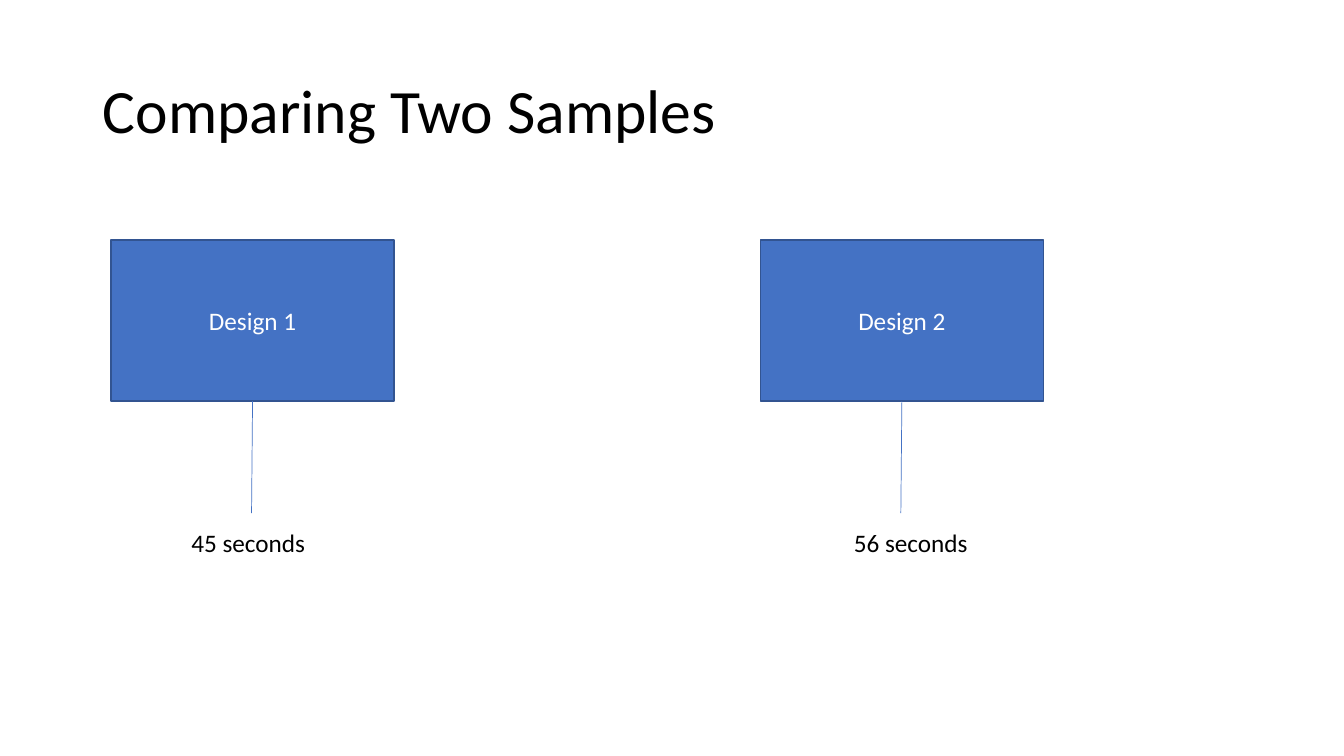
from dataclasses import dataclass

from lxml import etree
from pptx import Presentation
from pptx.dml.color import RGBColor
from pptx.enum.shapes import MSO_CONNECTOR, MSO_SHAPE
from pptx.enum.text import MSO_ANCHOR, MSO_AUTO_SIZE, PP_ALIGN
from pptx.oxml.ns import qn
from pptx.util import Inches, Pt

RECTANGLE = MSO_SHAPE.RECTANGLE
STRAIGHT = MSO_CONNECTOR.STRAIGHT
MIDDLE = MSO_ANCHOR.MIDDLE
FIT_TEXT = MSO_AUTO_SIZE.SHAPE_TO_FIT_TEXT
LEFT, CENTER = PP_ALIGN.LEFT, PP_ALIGN.CENTER
TITLE_ONLY = 5


@dataclass(frozen=True)
class Theme:
    font: str = "Calibri"
    text: RGBColor = RGBColor(0, 0, 0)
    box_text: RGBColor = RGBColor(255, 255, 255)
    box: RGBColor = RGBColor(0x44, 0x72, 0xC4)
    box_border: RGBColor = RGBColor(0x32, 0x54, 0x91)
    title_size: int = 44
    body_size: int = 18


THEME = Theme()

BOX_TOP, BOX_WIDTH, BOX_HEIGHT = 2.38, 2.81, 1.6
LINE_BOTTOM, TIME_TOP = 5.09, 5.18

# Design, box left, measured time, time left
SAMPLES = [
    ("Design 1", 1.1, "45 seconds", 1.8),
    ("Design 2", 7.54, "56 seconds", 8.37),
]


def write(frame, text, size, color, align=LEFT):
    frame.text = text
    paragraph = frame.paragraphs[0]
    paragraph.alignment = align
    paragraph.font.name = THEME.font
    paragraph.font.size = Pt(size)
    paragraph.font.color.rgb = color
    return paragraph


def add_title(slide, text):
    title = slide.shapes.title
    title.left, title.top = Inches(0.92), Inches(0.4)
    title.width, title.height = Inches(11.5), Inches(1.45)
    title.text_frame.vertical_anchor = MIDDLE
    heading = write(title.text_frame, text, THEME.title_size, THEME.text)
    heading.line_spacing = 0.9


def add_design_box(slide, name, left):
    box = slide.shapes.add_shape(RECTANGLE, Inches(left), Inches(BOX_TOP),
                                 Inches(BOX_WIDTH), Inches(BOX_HEIGHT))
    box.shadow.inherit = False
    box.fill.solid()
    box.fill.fore_color.rgb = THEME.box
    box.line.color.rgb = THEME.box_border
    box.line.width = Pt(1)
    box.text_frame.vertical_anchor = MIDDLE
    write(box.text_frame, name, THEME.body_size, THEME.box_text, CENTER)


def add_time_line(slide, center):
    line = slide.shapes.add_connector(
        STRAIGHT, Inches(center), Inches(BOX_TOP + BOX_HEIGHT),
        Inches(center - 0.01), Inches(LINE_BOTTOM))
    line.line.color.rgb = THEME.box
    line.line.width = Pt(0.5)
    etree.SubElement(line._element.spPr, qn("a:effectLst"))


def add_time(slide, time, left):
    label = slide.shapes.add_textbox(Inches(left), Inches(TIME_TOP),
                                     Inches(1.38), Inches(0.4))
    label.text_frame.word_wrap = False
    label.text_frame.auto_size = FIT_TEXT
    write(label.text_frame, time, THEME.body_size, THEME.text)


def main():
    presentation = Presentation()
    presentation.slide_width = Inches(13.33)
    presentation.slide_height = Inches(7.5)
    slide = presentation.slides.add_slide(presentation.slide_layouts[TITLE_ONLY])

    add_title(slide, "Comparing Two Samples")

    # Each design leads down to its measured time
    for design, box_left, time, time_left in SAMPLES:
        add_design_box(slide, design, box_left)
        add_time_line(slide, box_left + BOX_WIDTH / 2)
        add_time(slide, time, time_left)

    presentation.save("out.pptx")


if __name__ == "__main__":
    main()
